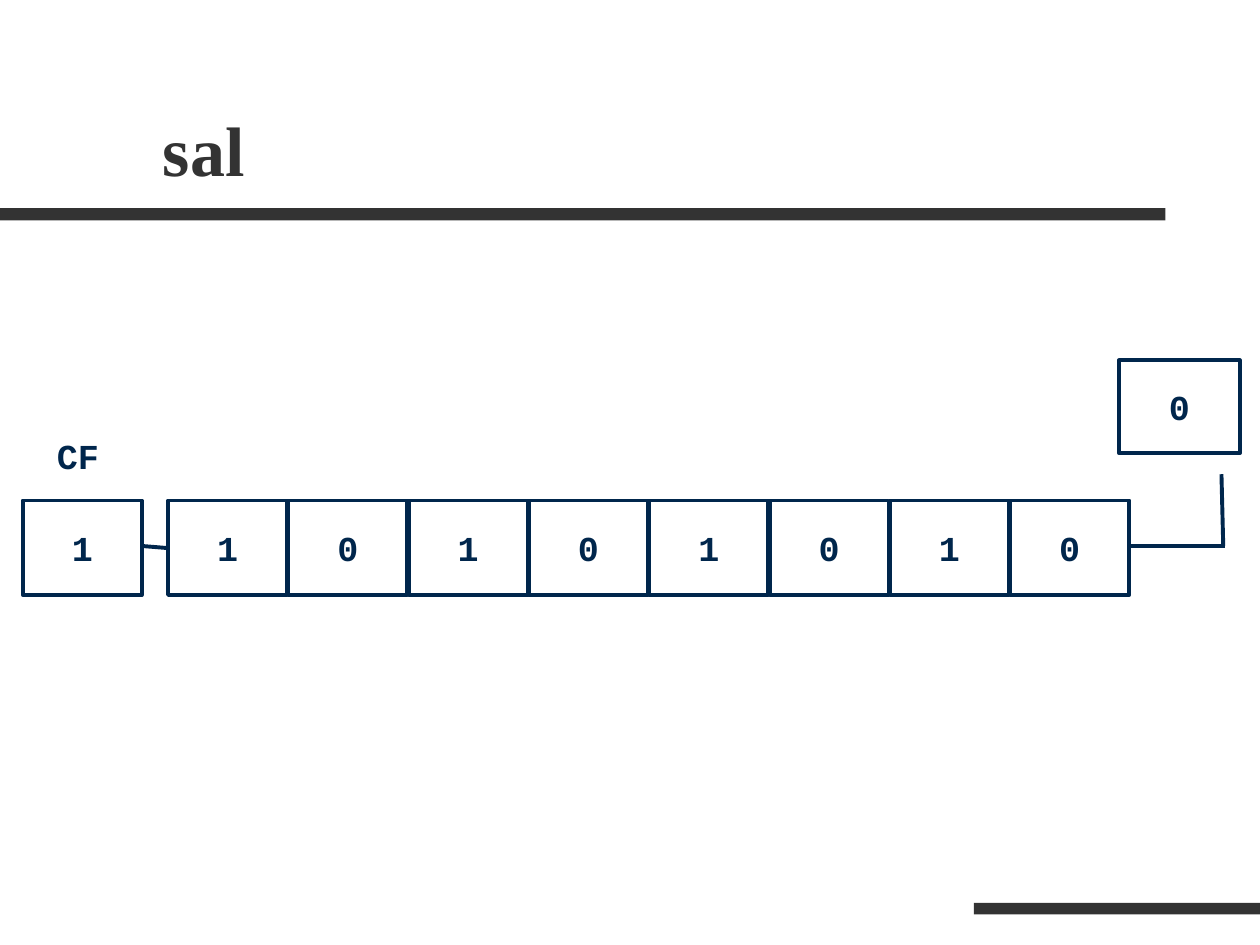
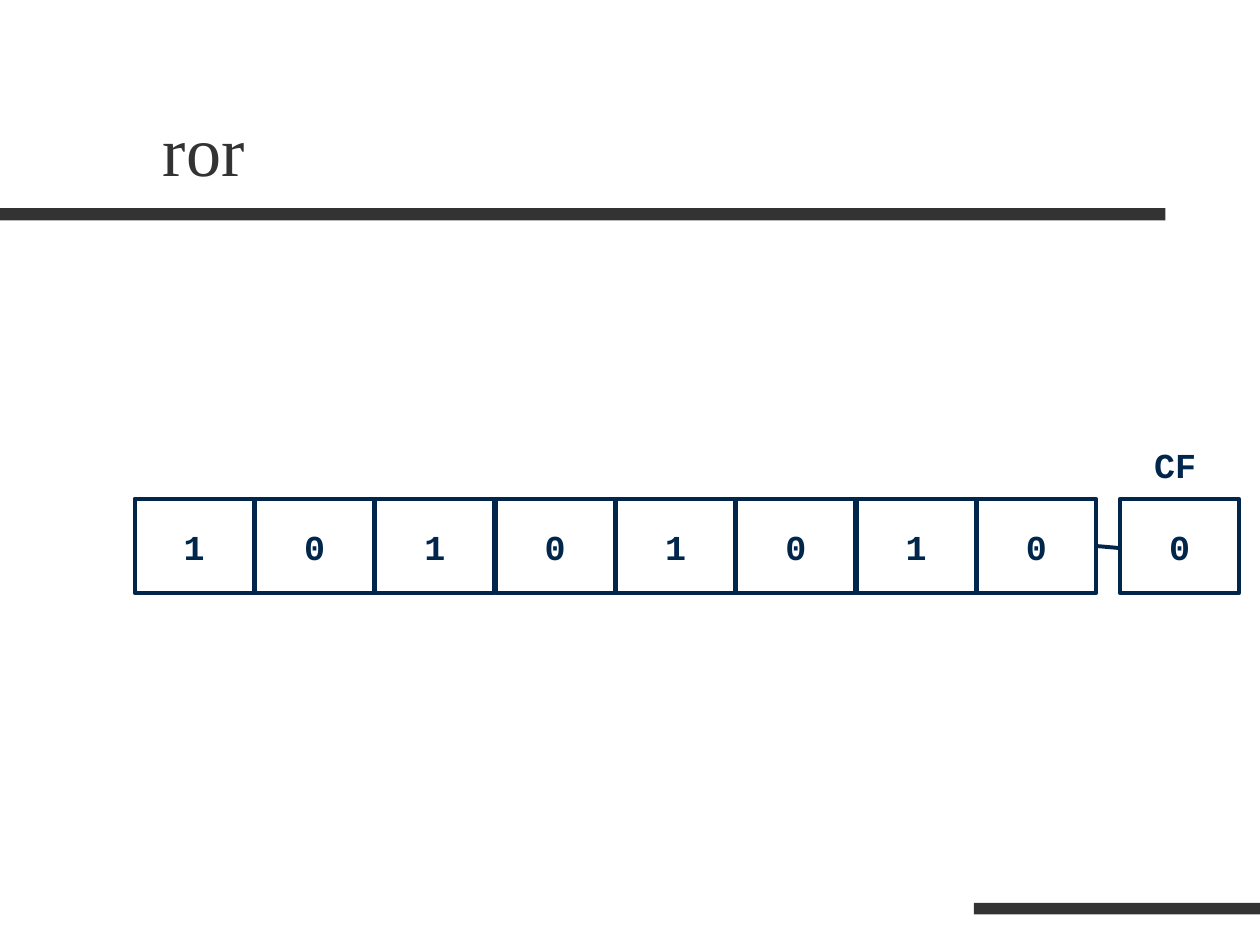
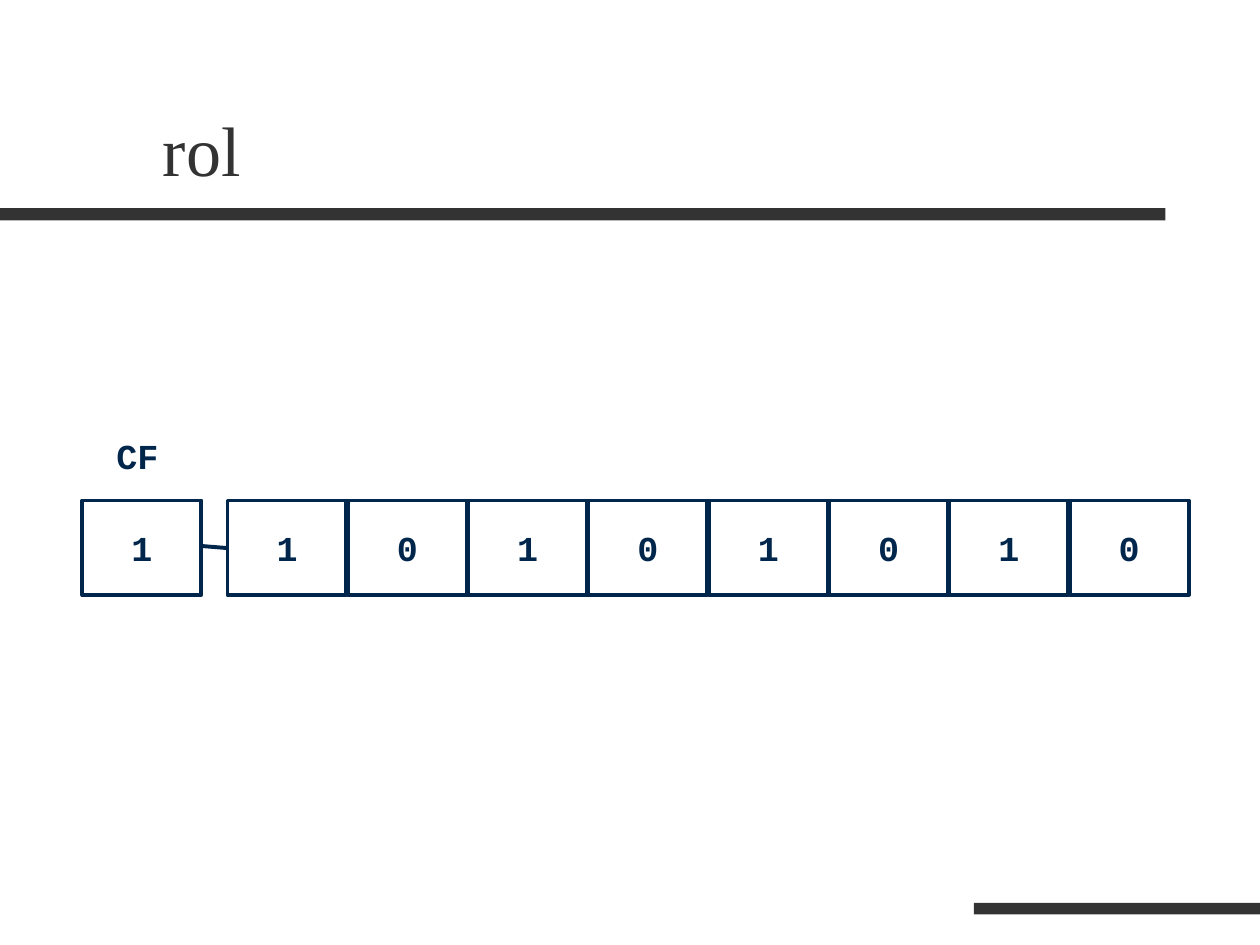
from lxml import etree
from pptx import Presentation
from pptx.dml.color import RGBColor
from pptx.enum import shapes, text
from pptx.oxml import ns
from pptx.util import Pt

GREY = RGBColor(0x33, 0x33, 0x33)
NAVY = RGBColor(0x00, 0x26, 0x4C)
SERIF, MONO = "Times New Roman", "Courier New"
BITS = "10101010"
WIDE, HIGH = 68, 54
STEP = 68.75
MID = 312


class Deck:
    def __init__(self):
        self.prs = Presentation()
        self.prs.slide_width, self.prs.slide_height = Pt(720), Pt(540)
        self.slide = None

    def start(self, title, bold=False):
        """Add a slide with its two bands and its title."""
        self.slide = self.prs.slides.add_slide(self.prs.slide_layouts[6])
        self.band(0, 119, 666, 7)
        self.band(556.5, 516, 163.5, 6.5)
        self.label(title, 86, 22.3, 612, 90, SERIF, 40, GREY, bold,
                   text.MSO_ANCHOR.BOTTOM)

    def rect(self, x, y, w, h):
        box = self.slide.shapes.add_shape(
            shapes.MSO_SHAPE.RECTANGLE, Pt(x), Pt(y), Pt(w), Pt(h))
        box.shadow.inherit = False
        return box

    def band(self, x, y, w, h):
        box = self.rect(x, y, w, h)
        box.fill.solid()
        box.fill.fore_color.rgb = GREY
        box.line.fill.background()

    def put(self, frame, words, face, size, color, bold):
        par = frame.paragraphs[0]
        par.text = words
        font = par.font
        font.name, font.size, font.bold = face, Pt(size), bold
        font.color.rgb = color
        return par

    def label(self, words, x, y, w, h, face=MONO, size=20, color=NAVY,
              bold=True, anchor=text.MSO_ANCHOR.TOP):
        box = self.slide.shapes.add_textbox(Pt(x), Pt(y), Pt(w), Pt(h))
        frame = box.text_frame
        frame.word_wrap = True
        frame.vertical_anchor = anchor
        self.put(frame, words, face, size, color, bold)

    def cell(self, bit, x, y, w=WIDE, h=HIGH):
        box = self.rect(x, y, w, h)
        box.fill.background()
        box.line.color.rgb, box.line.width = NAVY, Pt(2.25)
        frame = box.text_frame
        frame.word_wrap = False
        frame.vertical_anchor = text.MSO_ANCHOR.MIDDLE
        par = self.put(frame, bit, MONO, 20, NAVY, True)
        par.alignment = text.PP_ALIGN.CENTER

    def wire(self, x1, y1, x2, y2):
        line = self.slide.shapes.add_connector(
            shapes.MSO_CONNECTOR.STRAIGHT, Pt(x1), Pt(y1), Pt(x2), Pt(y2))
        line.line.color.rgb, line.line.width = NAVY, Pt(2.25)
        etree.SubElement(line._element.spPr, ns.qn("a:effectLst"))

    def byte(self, left, top, flag, carry, tag):
        """Draw the eight bits, the carry flag, its tag and their link."""
        for i, bit in enumerate(BITS):
            self.cell(bit, left + i * STEP, top)
        self.cell(carry, flag, top)
        self.label("CF", flag + 12.4, tag, 41, 31.7)
        end = left + (len(BITS) - 1) * STEP + WIDE
        near, far = (flag + WIDE, left) if flag < left else (end, flag)
        self.wire(far, MID + 1.2, near, MID)


def main():
    deck = Deck()

    deck.start("sal", bold=True)
    deck.byte(left=96, top=286, flag=13, carry="1", tag=244.8)
    deck.cell("0", 639.5, 206, 69, 53)
    deck.wire(700, MID, 645, MID)
    deck.wire(699, MID, 698, 271)

    deck.start("ror")
    deck.byte(left=77, top=285, flag=640, carry="0", tag=249.8)

    deck.start("rol")
    deck.byte(left=130, top=286, flag=47, carry="1", tag=244.8)

    deck.prs.save("out.pptx")


if __name__ == "__main__":
    main()
